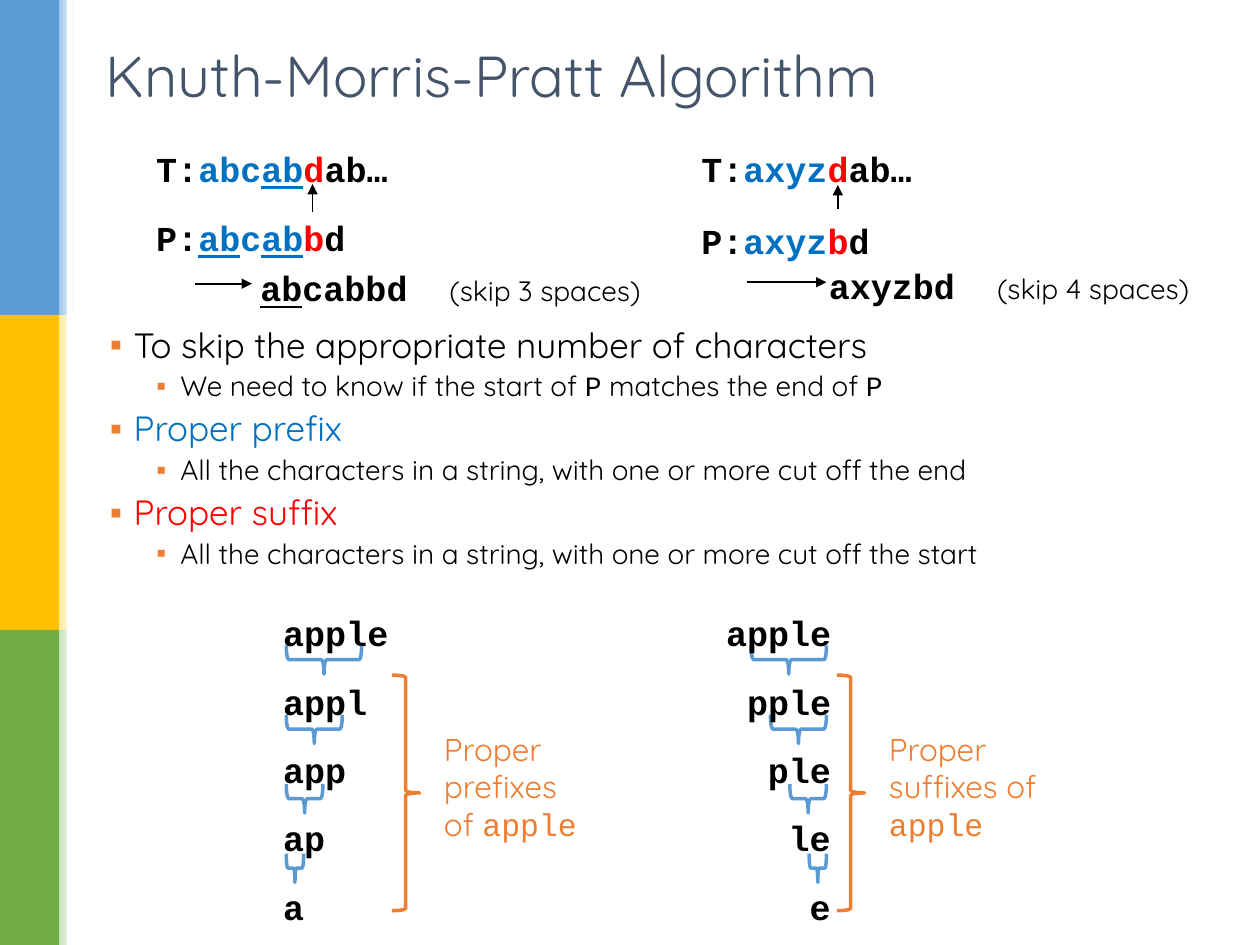
from lxml.etree import SubElement
from pptx import Presentation
from pptx.dml.color import RGBColor
from pptx.enum.shapes import MSO_CONNECTOR, MSO_SHAPE as Preset
from pptx.enum.text import MSO_ANCHOR, MSO_AUTO_SIZE, PP_ALIGN
from pptx.oxml.ns import qn
from pptx.util import Cm, Pt

COLORS = {
    "black": "000000", "white": "FFFFFF", "slate": "44546A",
    "match": "0070C0", "mismatch": "FF0000", "accent": "ED7D31",
    "blue": "5B9BD5", "gold": "FFC000", "green": "70AD47",
    "pale blue": "9DC3E6", "pale gold": "FFE699", "pale green": "C5E0B4",
}
HEX = {name: RGBColor.from_string(value) for name, value in COLORS.items()}
MONO, SANS = "Courier New", "Quicksand"


def write(paragraph, text, font=MONO, size=20, color="black", bold=False, underline=False):
    """Append one formatted run; a newline becomes a line break."""
    if text == "\n":
        paragraph.add_line_break()
        return
    run = paragraph.add_run()
    run.text = text
    run.font.name, run.font.size = font, Pt(size)
    run.font.bold, run.font.underline = bold, underline
    run.font.color.rgb = HEX[color]


def add_preset(preset, left, top, width, height, fill=None, line=None):
    """Add a shadowless preset shape, measured in centimetres."""
    shape = slide.shapes.add_shape(preset, Cm(left), Cm(top), Cm(width), Cm(height))
    shape.shadow.inherit = False
    if fill:
        shape.fill.solid()
        shape.fill.fore_color.rgb = HEX[fill]
    else:
        shape.fill.background()
    if line:
        shape.line.color.rgb, shape.line.width = HEX[line], Pt(2)
    else:
        shape.line.fill.background()
    return shape


prs = Presentation()
prs.slide_width, prs.slide_height = Cm(25.4), Cm(19.05)
slide = prs.slides.add_slide(prs.slide_layouts[1])

# Sidebar
for row, band in enumerate(("blue", "gold", "green")):
    add_preset(Preset.RECTANGLE, 0, row * 6.35, 1.19, 6.35, fill=band)
    fade = add_preset(Preset.RECTANGLE, 1.19, row * 6.35, 0.3, 6.35)
    fade.fill.gradient()
    fade.fill.gradient_angle = 0
    for stop, shade in zip(fade.fill.gradient_stops, ("pale " + band, "white")):
        stop.color.rgb = HEX[shade]
add_preset(Preset.RECTANGLE, 1.35, 0, 0.1, 19.05, fill="white")

# Title
title = slide.shapes.title
title.left, title.top, title.width, title.height = Cm(1.88), Cm(0.66), Cm(21.9), Cm(1.68)
title.text_frame.auto_size = MSO_AUTO_SIZE.NONE
title.text_frame.vertical_anchor = MSO_ANCHOR.MIDDLE
heading = title.text_frame.paragraphs[0]
heading.alignment = PP_ALIGN.LEFT
write(heading, "Knuth-Morris-Pratt Algorithm", font=SANS, size=33, color="slate")

# Definitions
definitions = [
    (0, [("To skip the appropriate number of characters", SANS, "black")]),
    (1, [("We need to know if the start of ", SANS, "black"), ("P", MONO, "black"),
         (" matches the end of ", SANS, "black"), ("P", MONO, "black")]),
    (0, [("Proper prefix", SANS, "match")]),
    (1, [("All the characters in a string, with one or more cut off the end", SANS, "black")]),
    (0, [("Proper suffix", SANS, "mismatch")]),
    (1, [("All the characters in a string, with one or more cut off the start", SANS, "black")]),
]
body = slide.placeholders[1]
body.left, body.top, body.width, body.height = Cm(1.96), Cm(6.48), Cm(21.9), Cm(10.5)
body.text_frame.auto_size = MSO_AUTO_SIZE.NONE
for index, (level, runs) in enumerate(definitions):
    item = body.text_frame.add_paragraph() if index else body.text_frame.paragraphs[0]
    item.level, item.line_spacing = level, 0.9
    item.space_before = Pt((5, 4)[level] if index else 0)
    props = item._p.get_or_add_pPr()
    props.set("marL", str(Cm((0.48, 1.42)[level])))
    props.set("indent", str(Cm(-0.48)))
    SubElement(SubElement(props, qn("a:buClr")), qn("a:srgbClr"), val=COLORS["accent"])
    SubElement(props, qn("a:buFont"), typeface="Arial")
    SubElement(props, qn("a:buChar"), char="▪")
    for text, font, color in runs:
        write(item, text, font=font, size=(20, 16)[level], color=color)

# Text lines: left, top, width, tab stop, runs of (text, format)
code = {"bold": True}
match = {"bold": True, "color": "match"}
overlap = {**match, "underline": True}
mismatch = {"bold": True, "color": "mismatch"}
skip = {"font": SANS, "size": 16}
text_lines = [
    (2.9, 2.72, 5.21, None, [("T:", code), ("abc", match), ("ab", overlap),
                             ("d", mismatch), ("ab…", code)]),
    (2.9, 4.11, 4.37, None, [("P:", code), ("ab", overlap), ("c", match),
                             ("ab", overlap), ("b", mismatch), ("d", code)]),
    (5, 5.13, 8.51, 3.81, [("ab", {**code, "underline": True}), ("cabbd", code),
                           ("\t(skip 3 spaces)", skip)]),
    (13.89, 2.72, 4.78, None, [("T:", code), ("axyz", match), ("d", mismatch), ("ab…", code)]),
    (13.89, 4.17, 3.94, None, [("P:", code), ("axyz", match), ("b", mismatch), ("d", code)]),
    (16.46, 5.08, 8.05, 3.39, [("axyzbd", code), ("\t(skip 4 spaces)", skip)]),
]

# Prefixes grow shorter from the right, suffixes from the left
word = "apple"
for cut in range(len(word)):
    top = 12.08 + 1.38 * cut
    width = 0.42 * (len(word) - cut) + 0.55
    text_lines.append((5.46, top, width, None, [(word[:len(word) - cut], code)]))
    text_lines.append((17.04 - width, top, width, None, [(word[cut:], code)]))
    if cut < len(word) - 1:
        span = 1.52 - 0.39 * cut
        for center in (5.77 + span / 2, 16.66 - span / 2):
            brace = add_preset(Preset.RIGHT_BRACE, center - 0.29, 13.3 + 1.4 * cut - span / 2,
                               0.58, span, line="blue")
            brace.rotation = 90

label = {"font": SANS, "size": 18, "color": "accent"}
label_word = {**label, "font": MONO}
for left, runs in (
    (7.9, [("Proper prefixes ", label), ("\n", {}), ("of ", label), (word, label_word)]),
    (16.87, [("Proper suffixes of ", label), (word, label_word)]),
):
    add_preset(Preset.RIGHT_BRACE, left, 13.61, 0.56, 4.75, line="accent")
    text_lines.append((left + 0.8, 14.58, 3.62, None, runs))

for left, top, width, tab, runs in text_lines:
    is_label = runs[0][1] is label
    box = slide.shapes.add_textbox(Cm(left), Cm(top), Cm(width), Cm(2.57 if is_label else 1.12))
    frame = box.text_frame
    frame.word_wrap = True
    frame.margin_top = Cm(0.13 if is_label else 0.25)
    frame.margin_right = Cm(0.25 if is_label else 0)
    line = frame.paragraphs[0]
    if tab:
        tabs = SubElement(line._p.get_or_add_pPr(), qn("a:tabLst"))
        SubElement(tabs, qn("a:tab"), pos=str(Cm(tab)), algn="l")
    for text, look in runs:
        write(line, text, **look)

# Arrows: tip first, then the plain end
for tip_x, tip_y, end_x, end_y in (
    (6.3, 3.71, 6.3, 4.27), (5.08, 5.72, 3.94, 5.72),
    (16.89, 3.73, 16.89, 4.22), (16.66, 5.69, 15.06, 5.69),
):
    arrow = slide.shapes.add_connector(MSO_CONNECTOR.STRAIGHT, Cm(tip_x), Cm(tip_y),
                                       Cm(end_x), Cm(end_y))
    arrow.line.color.rgb, arrow.line.width = HEX["black"], Pt(1)
    SubElement(arrow.line._get_or_add_ln(), qn("a:headEnd"), type="triangle")
    SubElement(arrow._element.spPr, qn("a:effectLst"))

prs.save("out.pptx")
